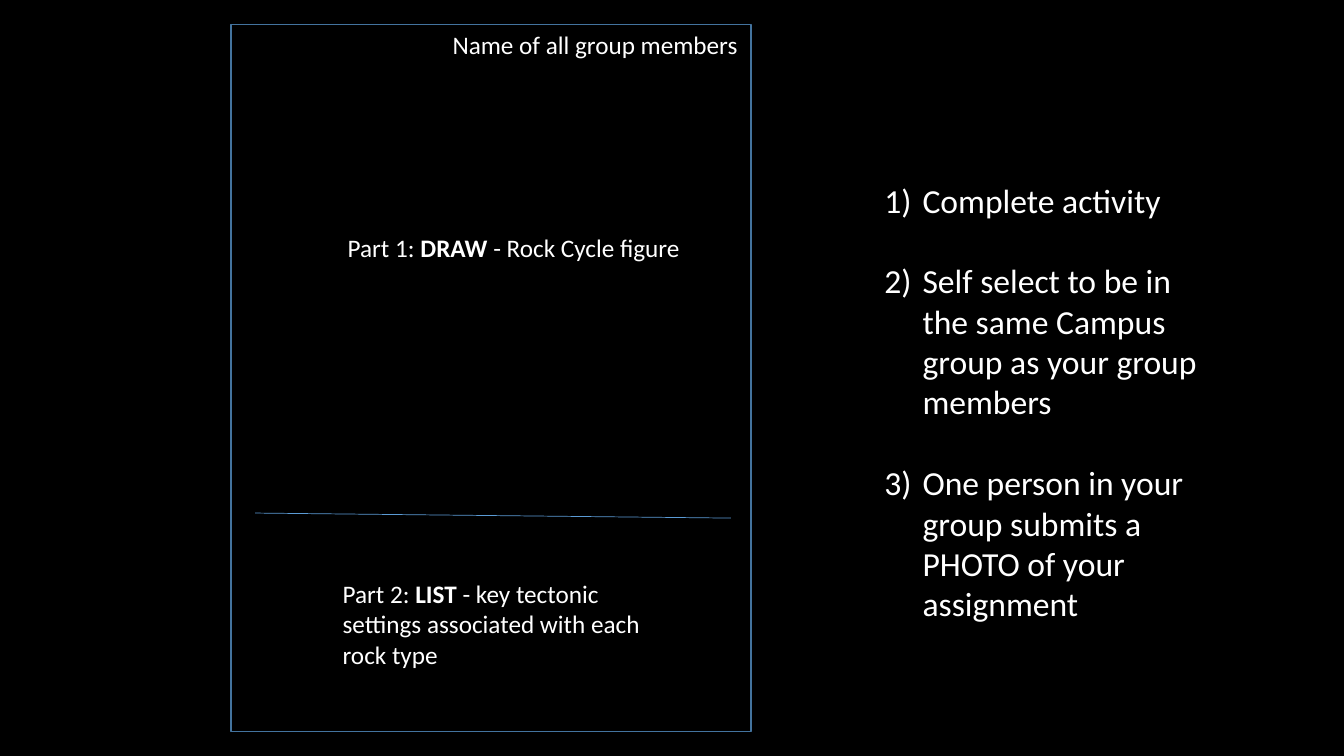
from lxml.etree import SubElement
from pptx import Presentation
from pptx.dml.color import RGBColor
from pptx.enum.shapes import MSO_CONNECTOR, MSO_SHAPE
from pptx.enum.text import MSO_ANCHOR, MSO_AUTO_SIZE as AUTO, PP_ALIGN
from pptx.oxml.ns import qn
from pptx.util import Inches, Pt

BLACK, WHITE = "000000", "FFFFFF"
FRAME_BLUE, RULE_BLUE = "43739E", "5B9BD5"
FONT = "Calibri"


def color(hex_text):
    return RGBColor.from_string(hex_text)


def add_run(p, text, size=18, bold=False, fill=WHITE):
    r = p.add_run()
    r.text = text
    r.font.name, r.font.size, r.font.bold = FONT, Pt(size), bold
    r.font.color.rgb = color(fill)


def add_label(slide, x, y, w, h, runs, wrap=False):
    """Place a text box; runs are (text, bold) pairs."""
    box = slide.shapes.add_textbox(Inches(x), Inches(y), Inches(w), Inches(h))
    tf = box.text_frame
    tf.word_wrap = wrap
    tf.auto_size = AUTO.SHAPE_TO_FIT_TEXT
    for text, bold in runs:
        add_run(tf.paragraphs[0], text, bold=bold)


def add_worksheet(slide, x, y, w, h):
    # Page frame
    sp = slide.shapes.add_shape(MSO_SHAPE.RECTANGLE, Inches(x), Inches(y),
                                Inches(w), Inches(h))
    sp.shadow.inherit = False
    sp.fill.solid()
    sp.fill.fore_color.rgb = color(BLACK)
    sp.line.color.rgb = color(FRAME_BLUE)
    sp.line.width = Pt(1)

    # Divider between the two parts
    rule = slide.shapes.add_connector(
        MSO_CONNECTOR.STRAIGHT, Inches(x + 0.24), Inches(y + 4.85),
        Inches(x + w - 0.2), Inches(y + 4.9))
    rule.line.color.rgb = color(RULE_BLUE)
    rule.line.width = Pt(0.5)
    SubElement(rule._element.spPr, qn("a:effectLst"))

    # Labels
    add_label(slide, x + 2.1, y, 3.07, 0.4,
              [("Name of all group members", False)])
    add_label(slide, x + 1.06, y + 2.02, 3.51, 0.4,
              [("Part 1: ", False), ("DRAW", True),
               (" - Rock Cycle figure", False)])
    add_label(slide, x + 1.01, y + 5.45, 3.56, 1.01,
              [("Part 2: ", False), ("LIST", True),
               (" - key tectonic settings associated with each rock type",
                False)], wrap=True)


def add_steps(body, x, y, w, h, steps):
    body.left, body.top = Inches(x), Inches(y)
    body.width, body.height = Inches(w), Inches(h)
    tf = body.text_frame
    tf.word_wrap = True
    tf.auto_size = AUTO.NONE
    tf.vertical_anchor = MSO_ANCHOR.TOP
    for i, step in enumerate(steps):
        p = tf.add_paragraph() if i else tf.paragraphs[0]
        p.alignment = PP_ALIGN.LEFT
        p.space_before = Pt(29 if i else 0)
        pPr = p._p.get_or_add_pPr()
        pPr.set("marL", str(Inches(0.38)))
        pPr.set("indent", str(-Inches(0.38)))
        SubElement(pPr, qn("a:buFont"), typeface=FONT)
        SubElement(pPr, qn("a:buAutoNum"), type="arabicParenR")
        add_run(p, step, size=24)


def main():
    prs = Presentation()
    prs.slide_width, prs.slide_height = Inches(13.33), Inches(7.5)
    slide = prs.slides.add_slide(prs.slide_layouts[1])
    slide.background.fill.solid()
    slide.background.fill.fore_color.rgb = color(BLACK)

    # The slide has a list but no title
    title = slide.shapes.title._element
    title.getparent().remove(title)

    add_worksheet(slide, 2.29, 0.24, 5.16, 7.02)
    add_steps(slide.placeholders[1], 8.67, 1.73, 3.38, 4.54, [
        "Complete activity",
        "Self select to be in the same Campus group as your group members",
        "One person in your group submits a PHOTO of your assignment",
    ])
    prs.save("out.pptx")


if __name__ == "__main__":
    main()
